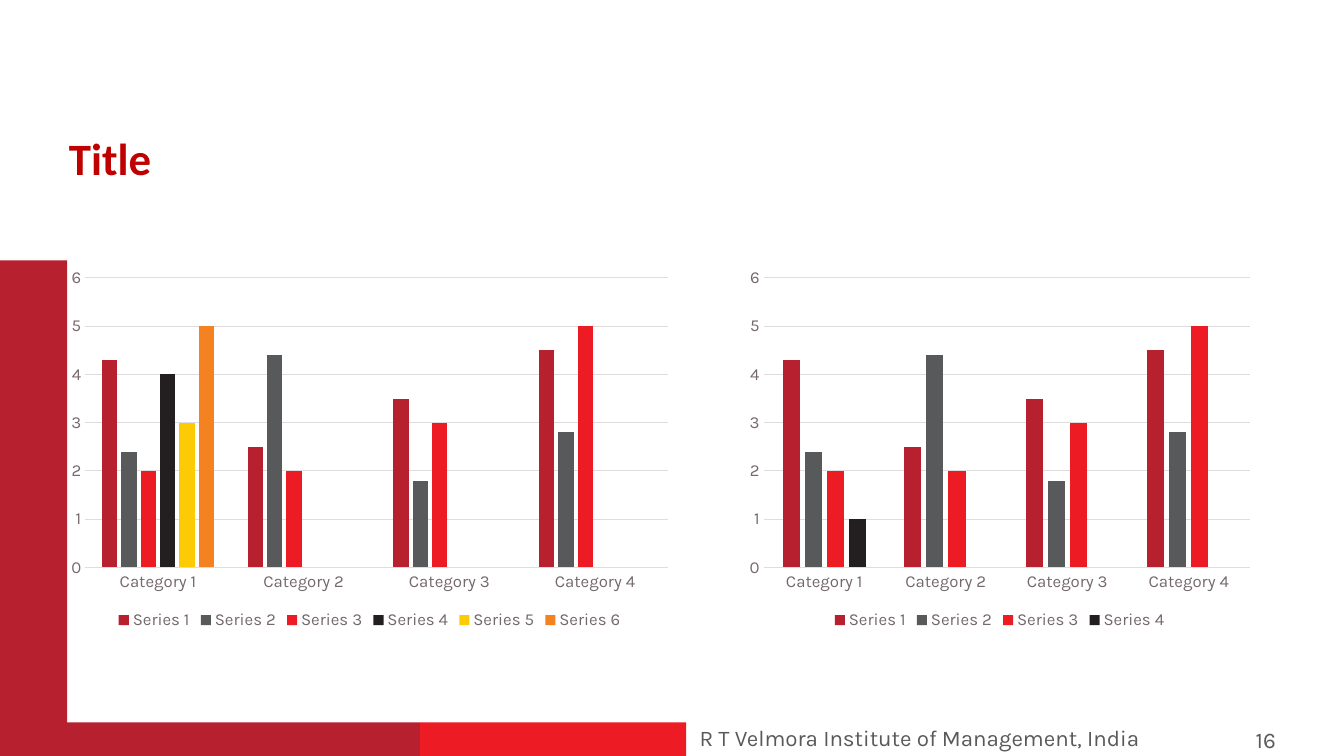
from pptx import Presentation
from pptx.chart.data import CategoryChartData
from pptx.dml.color import RGBColor
from pptx.enum.chart import XL_CHART_TYPE, XL_LEGEND_POSITION, XL_TICK_MARK
from pptx.enum.shapes import MSO_SHAPE
from pptx.enum.text import MSO_ANCHOR, PP_ALIGN
from pptx.util import Inches, Pt

CLUSTERED = XL_CHART_TYPE.COLUMN_CLUSTERED
BOTTOM = XL_LEGEND_POSITION.BOTTOM
NO_TICK = XL_TICK_MARK.NONE
RECTANGLE = MSO_SHAPE.RECTANGLE
TOP = MSO_ANCHOR.TOP
LEFT = PP_ALIGN.LEFT

COLUMNS, ROWS = 160, 90
CELL = Inches(1 / 12)
TITLE_ONLY = 5

CRIMSON, SCARLET, GREY = "B7202E", "ED1C24", "58595B"
SERIES_COLORS = [CRIMSON, GREY, SCARLET, "231F20", "FDCB05", "F58220"]
GRID_COLOR = "E0DCDD"
TITLE_FONT = {"name": "Calibri", "size": Pt(32), "bold": True, "color": "C00000"}
FOOTER_FONT = {"name": "Karla", "size": Pt(16), "color": GREY}
CHART_FONT = {"name": "Karla", "size": Pt(12), "color": "75686B"}

CATEGORIES = ["Category 1", "Category 2", "Category 3", "Category 4"]
SHARED_VALUES = [[4.3, 2.5, 3.5, 4.5], [2.4, 4.4, 1.8, 2.8], [2, 2, 3, 5]]
WIDE_CHART_EXTRAS = [4, 3, 5]
NARROW_CHART_EXTRAS = [1]


def rgb(color):
    """Turn a hex string into a colour."""
    return RGBColor.from_string(color)


def grid(box):
    """Turn a box of grid columns and rows into slide lengths."""
    return [round(length * CELL) for length in box]


def set_attributes(target, values):
    """Set every attribute named in a dict of values."""
    for name, value in values.items():
        setattr(target, name, value)


def style_font(font, style):
    """Apply a font style and its colour."""
    set_attributes(font, {name: value for name, value in style.items() if name != "color"})
    font.color.rgb = rgb(style["color"])


def style_line(line, color):
    """Give a chart line its colour and width."""
    line.color.rgb = rgb(color)
    line.width = Pt(0.75)


def fill_text(shape, text, style, wrap):
    """Write one left-aligned line of text into a shape."""
    frame = shape.text_frame
    set_attributes(frame, {"text": text, "word_wrap": wrap, "vertical_anchor": TOP})
    paragraph = frame.paragraphs[0]
    paragraph.alignment = LEFT
    style_font(paragraph.runs[0].font, style)


def add_title(slide, box, text):
    """Place and format the title placeholder."""
    title = slide.shapes.title
    set_attributes(title, dict(zip(("left", "top", "width", "height"), grid(box))))
    fill_text(title, text, TITLE_FONT, False)


def add_band(slide, box, color):
    """Draw one plain coloured band."""
    band = slide.shapes.add_shape(RECTANGLE, *grid(box))
    band.shadow.inherit = False
    band.fill.solid()
    band.fill.fore_color.rgb = rgb(color)
    band.line.fill.background()


def add_frame(slide, box):
    """Draw the side band and the two bands along the foot of the box."""
    left, top, width, height = box
    foot_height = 4
    foot = top + height - foot_height
    add_band(slide, (left, top, 8, height), CRIMSON)
    add_band(slide, (left + 50, foot, 31.7, foot_height), SCARLET)
    add_band(slide, (left, foot, 50, foot_height), CRIMSON)


def add_footer(slide, box, institute, number):
    """Write the institute and the slide number in the footer box."""
    left, top, width, height = box
    number_width = 10.4
    number_left = left + width - number_width
    parts = [
        (institute, (left, top, 61.1, height)),
        (number, (number_left, top + 0.2, number_width, height)),
    ]
    for text, place in parts:
        fill_text(slide.shapes.add_textbox(*grid(place)), text, FOOTER_FONT, True)


def add_column_chart(slide, box, extras):
    """Draw a column chart of the shared series and the extra first-category values."""
    data = CategoryChartData()
    data.categories = CATEGORIES
    padding = [None] * (len(CATEGORIES) - 1)
    rows = SHARED_VALUES + [[value] + padding for value in extras]
    for index, values in enumerate(rows, start=1):
        data.add_series(f"Series {index}", values)
    chart = slide.shapes.add_chart(CLUSTERED, *grid(box), data).chart
    style_font(chart.font, CHART_FONT)
    set_attributes(chart, {"has_title": False, "has_legend": True})
    set_attributes(chart.legend, {"position": BOTTOM, "include_in_layout": False})
    style_font(chart.legend.font, CHART_FONT)

    plot = chart.plots[0]
    set_attributes(plot, {"gap_width": 219, "overlap": -27, "vary_by_categories": False})
    for series, color in zip(plot.series, SERIES_COLORS):
        series.invert_if_negative = False
        series.format.fill.solid()
        series.format.fill.fore_color.rgb = rgb(color)

    for axis in (chart.category_axis, chart.value_axis):
        set_attributes(axis, {"major_tick_mark": NO_TICK, "minor_tick_mark": NO_TICK})
        style_font(axis.tick_labels.font, CHART_FONT)
    style_line(chart.category_axis.format.line, GRID_COLOR)
    value_axis = chart.value_axis
    set_attributes(value_axis, {"minimum_scale": 0, "maximum_scale": 6, "major_unit": 1})
    value_axis.format.line.fill.background()
    style_line(value_axis.major_gridlines.format.line, GRID_COLOR)


def main():
    """Build the slide and save it."""
    presentation = Presentation()
    presentation.slide_width = COLUMNS * CELL
    presentation.slide_height = ROWS * CELL
    slide = presentation.slides.add_slide(presentation.slide_layouts[TITLE_ONLY])
    chart_top, chart_height = 31, 44.5
    add_frame(slide, (0, chart_top, COLUMNS, ROWS - chart_top))
    add_title(slide, (7, 15, 13.3, 7.7), "Title")
    add_column_chart(slide, (7, chart_top, 74, chart_height), WIDE_CHART_EXTRAS)
    add_column_chart(slide, (88, chart_top, 62, chart_height), NARROW_CHART_EXTRAS)
    add_footer(slide, (82.1, 85.6, 76.6, 4.4), "R T Velmora Institute of Management, India", "16")
    presentation.save("out.pptx")


if __name__ == "__main__":
    main()
